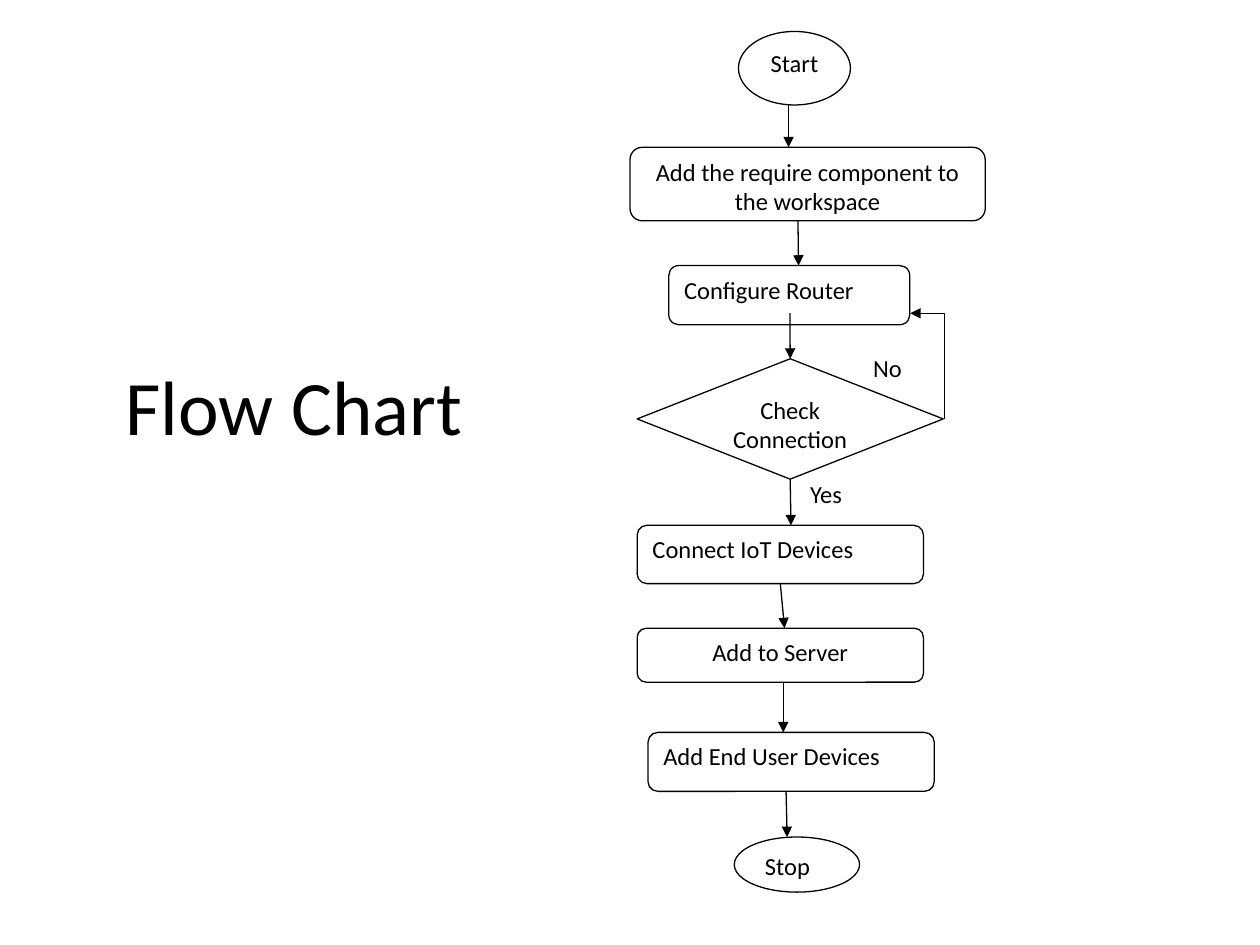
from lxml import etree
from pptx import Presentation
from pptx.dml.color import RGBColor
from pptx.enum import shapes, text
from pptx.oxml import ns
from pptx.util import Pt

BLACK = RGBColor(0, 0, 0)
WHITE = RGBColor(255, 255, 255)
ROUNDED = shapes.MSO_SHAPE.ROUNDED_RECTANGLE
OVAL = shapes.MSO_SHAPE.OVAL
DIAMOND = shapes.MSO_SHAPE.DIAMOND
LEFT, CENTER = text.PP_ALIGN.LEFT, text.PP_ALIGN.CENTER
TOP, BOTTOM = 0, 2


class FlowSlide:
    """Draws flow chart elements on one slide in a shared style."""

    font = {"name": "Calibri", "size": Pt(14)}
    line_width = Pt(0.75)

    def __init__(self, slide):
        self.slide = slide

    def set_words(self, frame, words, align, space_after=0, **changes):
        frame.text = words
        paragraph = frame.paragraphs[0]
        paragraph.alignment = align
        paragraph.space_after = Pt(space_after)
        for key, value in {**self.font, **changes}.items():
            setattr(paragraph.runs[0].font, key, value)
        paragraph.runs[0].font.color.rgb = BLACK

    def outline(self, line):
        line.color.rgb = BLACK
        line.width = self.line_width

    def title(self, words, left, top, width, height):
        heading = self.slide.shapes.title
        place = {"left": left, "top": top, "width": width, "height": height}
        for key, value in place.items():
            setattr(heading, key, Pt(value))
        heading.text_frame.vertical_anchor = text.MSO_ANCHOR.MIDDLE
        self.set_words(heading.text_frame, words, CENTER, size=Pt(44))

    def step(self, kind, words, align, *place):
        node = self.slide.shapes.add_shape(kind, *map(Pt, place))
        node.shadow.inherit = False
        node.fill.solid()
        node.fill.fore_color.rgb = WHITE
        self.outline(node.line)
        node.text_frame.word_wrap = True
        node.text_frame.vertical_anchor = text.MSO_ANCHOR.TOP
        self.set_words(node.text_frame, words, align, space_after=10)
        return node

    def arrow(self, *ends, kind=shapes.MSO_CONNECTOR.STRAIGHT):
        link = self.slide.shapes.add_connector(kind, *map(Pt, ends))
        self.outline(link.line)
        properties = link._element.spPr
        etree.SubElement(properties.get_or_add_ln(), ns.qn("a:tailEnd"), type="triangle")
        etree.SubElement(properties, ns.qn("a:effectLst"))
        return link

    def loop_back(self, *ends):
        link = self.arrow(*ends, kind=shapes.MSO_CONNECTOR.ELBOW)
        properties = link._element.spPr
        properties.find(ns.qn("a:xfrm")).set("rot", "5400000")
        guides = properties.find(ns.qn("a:prstGeom")).get_or_add_avLst()
        etree.SubElement(guides, ns.qn("a:gd"), name="adj1", fmla="val 99900")

    def label(self, words, *place):
        answer = self.slide.shapes.add_textbox(*map(Pt, place))
        answer.text_frame.word_wrap = False
        answer.text_frame.auto_size = text.MSO_AUTO_SIZE.SHAPE_TO_FIT_TEXT
        self.set_words(answer.text_frame, words, LEFT)


def main():
    deck = Presentation()
    deck.slide_width, deck.slide_height = Pt(720), Pt(540)
    chart = FlowSlide(deck.slides.add_slide(deck.slide_layouts[5]))
    chart.title("Flow Chart", 0, 186, 336, 90)

    chart.step(ROUNDED, "Add the require component to the workspace", CENTER, 360, 84.2, 203, 42)
    chart.step(ROUNDED, "Configure Router", LEFT, 382.2, 151.8, 137.7, 33.8)
    check = chart.step(DIAMOND, "Check Connection", CENTER, 364.1, 205, 174.9, 68.8)
    devices = chart.step(ROUNDED, "Connect IoT Devices", LEFT, 364.1, 300.2, 163.6, 33.3)
    chart.step(ROUNDED, "Add to Server", CENTER, 364.1, 359, 163.6, 30.8)
    chart.step(ROUNDED, "Add End User Devices", LEFT, 370.3, 418.5, 163.6, 33.7)
    chart.step(OVAL, "Stop", LEFT, 419.6, 478.3, 71.6, 31.5)

    chart.arrow(450.6, 53.3, 450.6, 84.2)
    chart.arrow(456, 126.2, 456.3, 151.8)
    to_check = chart.arrow(451.4, 179, 452, 205)
    to_check.end_connect(check, TOP)
    to_devices = chart.arrow(451.4, 273.8, 452, 300.2)
    to_devices.begin_connect(check, BOTTOM)
    to_server = chart.arrow(447.2, 333.5, 448.3, 359)
    to_server.begin_connect(devices, BOTTOM)
    chart.arrow(447.6, 389.8, 447.6, 418.5)
    chart.arrow(449.2, 452.2, 449.8, 478.3)
    chart.loop_back(560.1, 199.4, 499.7, 218.9)

    chart.step(OVAL, "Start", CENTER, 422, 18, 64, 42)
    chart.label("Yes", 455.8, 270, 33, 24.2)
    chart.label("No", 491.8, 198, 31, 24.2)
    deck.save("out.pptx")


if __name__ == "__main__":
    main()
